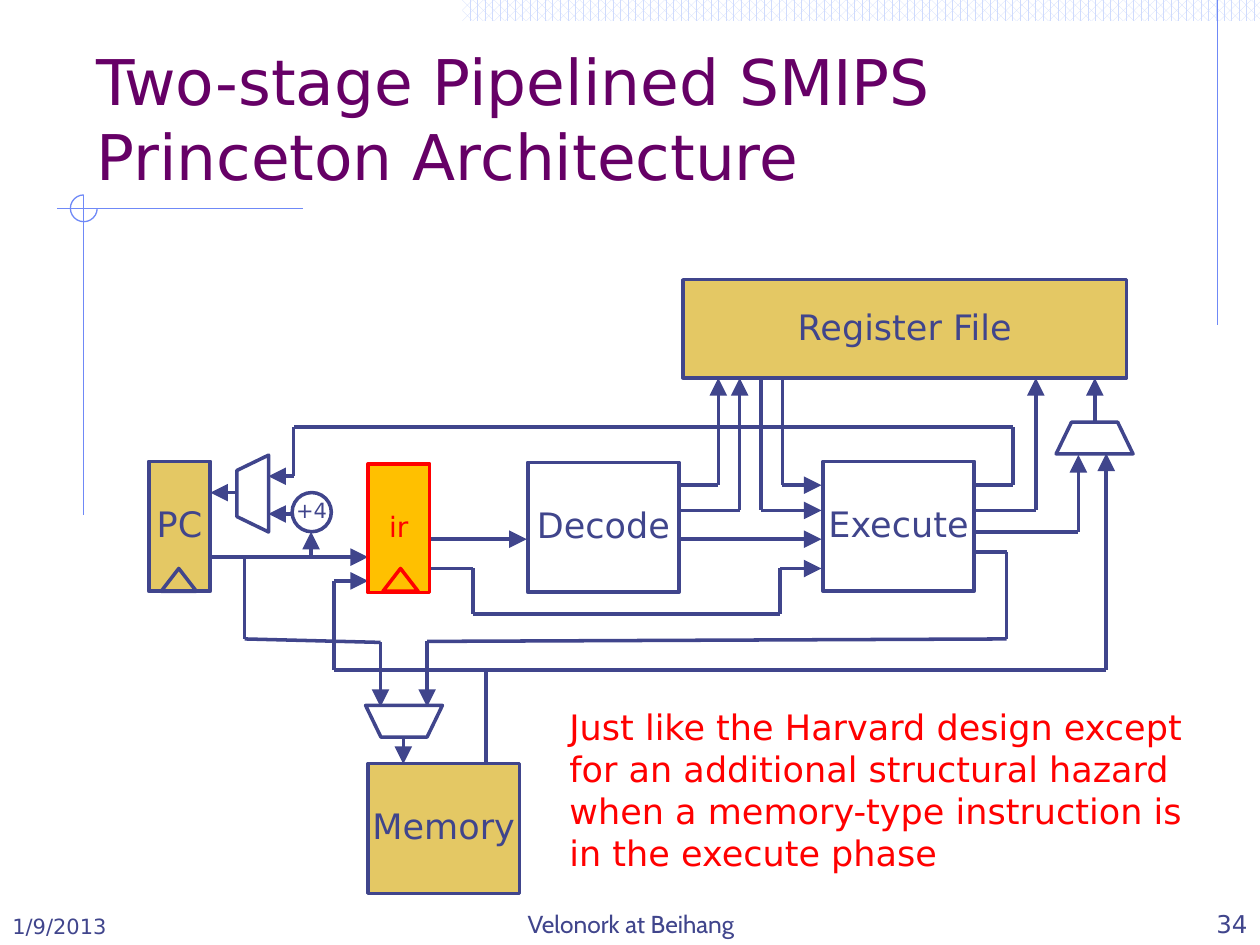
from lxml import etree
from pptx import Presentation
from pptx.dml.color import RGBColor
from pptx.enum.dml import MSO_PATTERN
from pptx.enum.shapes import MSO_CONNECTOR, MSO_SHAPE
from pptx.enum.text import MSO_ANCHOR, MSO_AUTO_SIZE, PP_ALIGN
from pptx.oxml.ns import qn
from pptx.util import Cm, Pt

NAVY = RGBColor(0x40, 0x45, 0x8C)
GOLD = RGBColor(0xE4, 0xC8, 0x64)
AMBER = RGBColor(0xFF, 0xC0, 0x00)
RED = RGBColor(0xFF, 0x00, 0x00)
PLUM = RGBColor(0x66, 0x00, 0x66)
BLUE = RGBColor(0x6F, 0x89, 0xF7)
PALE = RGBColor(0xCF, 0xDB, 0xFD)
WHITE = RGBColor(0xFF, 0xFF, 0xFF)

RECT, OVAL, ARC = MSO_SHAPE.RECTANGLE, MSO_SHAPE.OVAL, MSO_SHAPE.ARC
MUX, WEDGE = MSO_SHAPE.FLOWCHART_MANUAL_OPERATION, MSO_SHAPE.ISOSCELES_TRIANGLE
STRAIGHT, DOTS, FIXED = MSO_CONNECTOR.STRAIGHT, MSO_PATTERN.PERCENT_60, MSO_AUTO_SIZE.NONE
LEFT, MID, RIGHT = PP_ALIGN.LEFT, PP_ALIGN.CENTER, PP_ALIGN.RIGHT
TOP, CENTER, BOTTOM = MSO_ANCHOR.TOP, MSO_ANCHOR.MIDDLE, MSO_ANCHOR.BOTTOM
SANS = "DejaVu Sans"

deck = Presentation()
deck.slide_width, deck.slide_height = Cm(25.4), Cm(19.05)
slide = deck.slides.add_slide(deck.slide_layouts[5])
shapes = slide.shapes


def write(frame, text, size, color, align, anchor, font=SANS):
    frame.vertical_anchor = anchor
    para = frame.paragraphs[0]
    para.alignment = align
    run = para.add_run()
    run.text = text
    run.font.name, run.font.size = font, Pt(size)
    run.font.color.rgb = color


def wire(points, color=NAVY, width=2, arrow=True):
    """Join the points with straight lines; the arrow sits on the last one."""
    for start, end in zip(points, points[1:]):
        line = shapes.add_connector(STRAIGHT, *[Cm(v) for v in start + end])
        line.line.color.rgb, line.line.width = color, Pt(width)
        props = line._element.spPr
        if arrow and end == points[-1]:
            etree.SubElement(props.find(qn("a:ln")), qn("a:tailEnd"),
                             type="triangle", w="lg", len="lg")
        etree.SubElement(props, qn("a:effectLst"))


# Page trim: patterned strip, thin rules and corner arc
strip = shapes.add_shape(RECT, Cm(9.32), Cm(0), Cm(16.08), Cm(0.42))
strip.shadow.inherit = False
strip.fill.patterned()
strip.fill.pattern = DOTS
strip.fill.fore_color.rgb, strip.fill.back_color.rgb = PALE, WHITE
strip.line.fill.background()

for rule in (
    [(24.55, 0), (24.55, 6.55)],
    [(6.1, 4.21), (1.14, 4.21)],
    [(1.69, 3.93), (1.69, 10.39)],
):
    wire(rule, BLUE, 0.75, False)

arc = shapes.add_shape(ARC, Cm(1.42), Cm(3.93), Cm(0.54), Cm(0.54))
arc.shadow.inherit = False
arc.adjustments[0], arc.adjustments[1] = 0, 162
arc.fill.background()
arc.line.color.rgb, arc.line.width = BLUE, Pt(0.75)

# Title
title = shapes.title
title.left, title.top, title.width, title.height = Cm(1.69), Cm(0.85), Cm(21.59), Cm(3.18)
title.text_frame.auto_size = FIXED
write(title.text_frame, "Two-stage Pipelined SMIPS Princeton Architecture",
      36, PLUM, LEFT, BOTTOM)

# Wires without an arrowhead
for path in (
    [(9.8, 15.39), (9.8, 13.51)],
    [(22.3, 13.51), (6.73, 13.51)],
):
    wire(path, arrow=False)

# Wires that end in an arrowhead
for path in (
    # Decode and the register file
    [(13.69, 9.78), (14.48, 9.78), (14.48, 7.62)],
    [(13.69, 10.29), (14.91, 10.29), (14.91, 7.62)],
    [(15.34, 7.62), (15.34, 10.29), (16.56, 10.29)],
    [(15.77, 7.62), (15.77, 9.78), (16.56, 9.78)],
    # Into Execute
    [(13.69, 10.87), (16.56, 10.87)],
    [(8.69, 11.46), (9.53, 11.46), (9.53, 12.38), (15.72, 12.38),
     (15.72, 11.46), (16.56, 11.46)],
    # Out of Execute
    [(19.63, 9.78), (20.42, 9.78), (20.42, 8.61), (5.92, 8.61),
     (5.92, 9.6), (5.41, 9.6)],
    [(19.63, 10.29), (20.88, 10.29), (20.88, 7.62)],
    [(19.63, 10.72), (21.74, 10.72), (21.74, 9.17)],
    [(19.63, 11.13), (20.29, 11.13), (20.29, 12.88), (8.61, 12.93), (8.61, 14.25)],
    # Next address
    [(5.89, 10.36), (5.41, 10.36)],
    [(4.78, 9.93), (4.24, 9.93)],
    [(6.27, 11.23), (6.27, 10.72)],
    # Out of PC and into ir
    [(4.24, 11.23), (7.42, 11.23)],
    [(4.93, 11.23), (4.93, 12.88), (7.67, 12.95), (7.67, 14.25)],
    [(8.69, 10.87), (10.62, 10.87)],
    # Memory
    [(8.13, 14.86), (8.13, 15.4)],
    [(6.73, 13.51), (6.73, 11.71), (7.42, 11.71)],
    [(22.3, 13.51), (22.3, 9.14)],
    [(22.07, 8.48), (22.07, 7.62)],
):
    wire(path)

# Blocks: kind, left, top, width, height, turn, fill, ink, label, size
for kind, left, top, width, height, turn, fill, ink, label, size in (
    (RECT, 3, 9.3, 1.24, 2.62, 0, GOLD, NAVY, "PC", 20),
    (RECT, 7.42, 9.35, 1.24, 2.6, 0, AMBER, RED, "ir", 16),
    (RECT, 10.64, 9.32, 3.05, 2.62, 0, None, NAVY, "Decode", 20),
    (RECT, 16.59, 9.3, 3.05, 2.62, 0, None, NAVY, "Execute", 20),
    (RECT, 13.77, 5.64, 8.94, 1.98, 0, GOLD, NAVY, "Register File", 20),
    (RECT, 7.42, 15.39, 3.05, 2.62, 0, GOLD, NAVY, "Memory", 20),
    (OVAL, 5.89, 9.93, 0.79, 0.79, 0, None, NAVY, "+4", 12),
    (MUX, 21.29, 8.51, 1.55, 0.64, 180, WHITE, NAVY, "", 0),
    (MUX, 4.32, 9.63, 1.55, 0.64, 90, WHITE, NAVY, "", 0),
    (MUX, 7.37, 14.22, 1.55, 0.64, 0, WHITE, NAVY, "", 0),
    (WEDGE, 3.25, 11.46, 0.71, 0.46, 0, None, NAVY, "", 0),
    (WEDGE, 7.72, 11.46, 0.71, 0.46, 0, None, RED, "", 0),
):
    block = shapes.add_shape(kind, Cm(left), Cm(top), Cm(width), Cm(height))
    block.shadow.inherit = False
    block.rotation = turn
    if fill is None:
        block.fill.background()
    else:
        block.fill.solid()
        block.fill.fore_color.rgb = fill
    block.line.color.rgb, block.line.width = ink, Pt(2)
    if label:
        block.text_frame.word_wrap = False
        block.text_frame.paragraphs[0].line_spacing = 0.9
        write(block.text_frame, label, size, ink, MID, CENTER)

# Remark and footer
remark = ("Just like the Harvard design except for an additional structural "
          "hazard when a memory-type instruction is in the execute phase")
for left, top, width, height, text, size, color, align, anchor, font in (
    (11.23, 14.1, 13.69, 3.68, remark, 20, RED, LEFT, TOP, SANS),
    (0, 17.78, 5.28, 1.27, "1/9/2013", 12, NAVY, LEFT, BOTTOM, SANS),
    (8.53, 17.78, 8.38, 1.27, "Velonork at Beihang", 14, NAVY, MID, BOTTOM, "Cabin"),
    (20.12, 17.78, 5.28, 1.27, "34", 14, NAVY, RIGHT, BOTTOM, SANS),
):
    box = shapes.add_textbox(Cm(left), Cm(top), Cm(width), Cm(height))
    box.text_frame.word_wrap = True
    write(box.text_frame, text, size, color, align, anchor, font)

deck.save("out.pptx")
